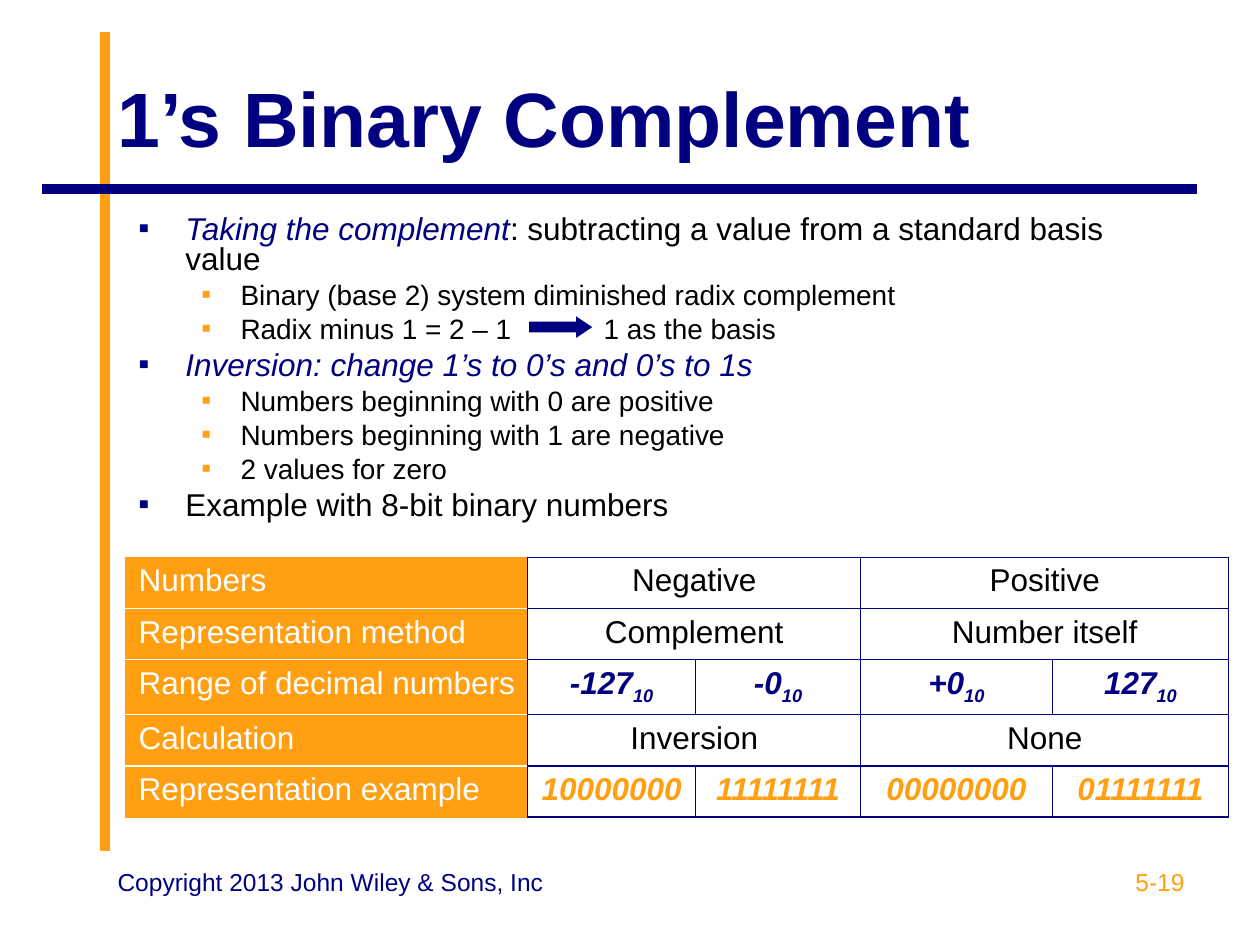
"""Build the slide on the 1's binary complement."""
from dataclasses import dataclass

from lxml import etree
from pptx import Presentation
from pptx import util as u
from pptx.dml.color import RGBColor
from pptx.enum import shapes, text
from pptx.oxml.ns import qn

NAVY, ORANGE, BLACK, WHITE = "000080", "FF9F11", "000000", "FFFFFF"
LEFT, CENTER, RIGHT = text.PP_ALIGN.LEFT, text.PP_ALIGN.CENTER, text.PP_ALIGN.RIGHT


@dataclass(frozen=True)
class Run:
    text: str
    color: str = BLACK
    bold: bool = False
    italic: bool = False
    subscript: bool = False


@dataclass(frozen=True)
class Level:
    size: int
    before: float
    margin: float
    hanging: float
    bullet: str


@dataclass(frozen=True)
class Point:
    level: Level
    runs: tuple
    tabs: tuple = ()


@dataclass(frozen=True)
class Row:
    label: str
    values: tuple
    height: float = 1.03


MAIN = Level(18, 4.5, 0.95, 0.95, NAVY)
SUB = Level(16, 4, 2.06, 0.79, ORANGE)

POINTS = (
    Point(MAIN, (Run("Taking the complement", NAVY, italic=True),
                 Run(": subtracting a value from a standard basis value"))),
    Point(SUB, (Run("Binary (base 2) system diminished radix complement"),)),
    Point(SUB, (Run("Radix minus 1 = 2 – 1\t1 as the basis"),), tabs=(7.32, 9.38)),
    Point(MAIN, (Run("Inversion: change 1’s to 0’s and 0’s to 1s", NAVY, italic=True),)),
    Point(SUB, (Run("Numbers beginning with 0 are positive"),)),
    Point(SUB, (Run("Numbers beginning with 1 are negative"),)),
    Point(SUB, (Run("2 values for zero"),)),
    Point(MAIN, (Run("Example with 8-bit binary numbers"),)),
)


def decimal(value: str) -> tuple:
    return (Run(value, NAVY, True, True), Run("10", NAVY, True, True, True))


def binary(value: str) -> tuple:
    return (Run(value, ORANGE, True, True),)


ROWS = (
    Row("Numbers", ((Run("Negative"),), (Run("Positive"),))),
    Row("Representation method", ((Run("Complement"),), (Run("Number itself"),))),
    Row("Range of decimal numbers",
        tuple(decimal(v) for v in ("-127", "-0", "+0", "127")), 1.11),
    Row("Calculation", ((Run("Inversion"),), (Run("None"),))),
    Row("Representation example",
        tuple(binary(v) for v in ("10000000", "11111111", "00000000", "01111111"))),
)
COLUMNS = (8.1, 3.38, 3.33, 3.86, 3.56)


def rgb(color: str) -> RGBColor:
    return RGBColor.from_string(color)


def child(parent, tag: str, **attributes: str):
    return etree.SubElement(parent, qn(tag), **attributes)


def write(p, content: str, *, size: float, color: str = BLACK, bold: bool = False,
          italic: bool = False, subscript: bool = False) -> None:
    r = p.add_run()
    r.text = content
    f = r.font
    f.name, f.size, f.bold, f.italic = "Arial", u.Pt(size), bold, italic
    f.color.rgb = rgb(color)
    if subscript:
        r._r.get_or_add_rPr().set("baseline", "-25000")


def write_runs(p, runs: tuple, size: float) -> None:
    for run in runs:
        write(p, run.text, size=size, color=run.color, bold=run.bold,
              italic=run.italic, subscript=run.subscript)


def add_box(s, x: float, y: float, w: float, h: float, anchor=text.MSO_ANCHOR.TOP):
    tf = s.shapes.add_textbox(u.Cm(x), u.Cm(y), u.Cm(w), u.Cm(h)).text_frame
    tf.word_wrap = True
    tf.vertical_anchor = anchor
    return tf


def add_rule(s, x1: float, y1: float, x2: float, y2: float, color: str) -> None:
    line = s.shapes.add_connector(shapes.MSO_CONNECTOR.STRAIGHT,
                                  u.Cm(x1), u.Cm(y1), u.Cm(x2), u.Cm(y2))
    line.line.color.rgb = rgb(color)
    line.line.width = u.Pt(5.5)
    child(line._element.spPr, "a:effectLst")


def add_points(s) -> None:
    tf = add_box(s, 2.54, 4.24, 21.59, 6.55)
    for i, point in enumerate(POINTS):
        p = tf.add_paragraph() if i else tf.paragraphs[0]
        level = point.level
        ppr = p._p.get_or_add_pPr()
        ppr.set("marL", str(u.Cm(level.margin)))
        ppr.set("indent", str(-u.Cm(level.hanging)))
        child(child(ppr, "a:buClr"), "a:srgbClr", val=level.bullet)
        child(ppr, "a:buFont", typeface="Arial")
        child(ppr, "a:buChar", char="▪")
        if point.tabs:
            stops = child(ppr, "a:tabLst")
            for stop in point.tabs:
                child(stops, "a:tab", pos=str(u.Cm(stop)), algn="l")
        p.level = int(level is SUB)
        p.line_spacing = 0.8
        p.space_before = u.Pt(level.before if i else 0)
        write_runs(p, point.runs, level.size)


def set_borders(cell, **colors: str) -> None:
    tcpr = cell._tc.get_or_add_tcPr()
    for side in "LRTB":
        ln = child(tcpr, f"a:ln{side}", w=str(u.Pt(0.75)))
        child(child(ln, "a:solidFill"), "a:srgbClr", val=colors.get(side, NAVY))


def add_numbers_table(s) -> None:
    heights = [row.height for row in ROWS]
    table = s.shapes.add_table(len(ROWS), len(COLUMNS), u.Cm(2.54), u.Cm(11.23),
                               u.Cm(sum(COLUMNS)), u.Cm(sum(heights))).table
    table.first_row = table.horz_banding = False
    for column, width in zip(table.columns, COLUMNS):
        column.width = u.Cm(width)
    last = len(ROWS) - 1
    for i, row in enumerate(ROWS):
        table.rows[i].height = u.Cm(row.height)
        label, *others = table.rows[i].cells
        set_borders(label, L=ORANGE, T=WHITE if i else ORANGE,
                    B=WHITE if i < last else ORANGE)
        label.fill.solid()
        label.fill.fore_color.rgb = rgb(ORANGE)
        write(label.text_frame.paragraphs[0], row.label, size=18, color=WHITE)
        for cell in others:
            set_borders(cell)
            cell.fill.background()
        span = len(others) // len(row.values)
        for k, runs in enumerate(row.values):
            cell = others[k * span]
            if span > 1:
                cell.merge(others[k * span + span - 1])
            p = cell.text_frame.paragraphs[0]
            p.alignment = CENTER
            write_runs(p, runs, 18)


def add_arrow(s) -> None:
    sp = s.shapes.add_shape(shapes.MSO_SHAPE.RIGHT_ARROW,
                            u.Cm(10.67), u.Cm(6.38), u.Cm(1.27), u.Cm(0.43))
    sp.adjustments[0], sp.adjustments[1] = 0.5, 0.75
    sp.shadow.inherit = False
    sp.fill.solid()
    sp.fill.fore_color.rgb = rgb(NAVY)
    sp.line.fill.background()


def add_footer(s, x: float, w: float, content: str, color: str, align) -> None:
    p = add_box(s, x, 17.35, w, 1.32).paragraphs[0]
    p.alignment = align
    write(p, content, size=14, color=color)


def main() -> None:
    prs = Presentation()
    prs.slide_width, prs.slide_height = u.Cm(25.4), u.Cm(19.05)
    s = prs.slides.add_slide(prs.slide_layouts[6])
    add_rule(s, 2.12, 17.15, 2.12, 0.64, ORANGE)
    add_rule(s, 24.13, 3.81, 0.85, 3.81, NAVY)
    title = add_box(s, 2.12, 0.76, 22.02, 3.18, text.MSO_ANCHOR.MIDDLE)
    write(title.paragraphs[0], "1’s Binary Complement", size=44, color=NAVY, bold=True)
    add_points(s)
    add_numbers_table(s)
    add_arrow(s)
    add_footer(s, 18.21, 5.92, "5-19", ORANGE, RIGHT)
    add_footer(s, 2.12, 9.31, "Copyright 2013 John Wiley & Sons, Inc", NAVY, LEFT)
    prs.save("out.pptx")


if __name__ == "__main__":
    main()
